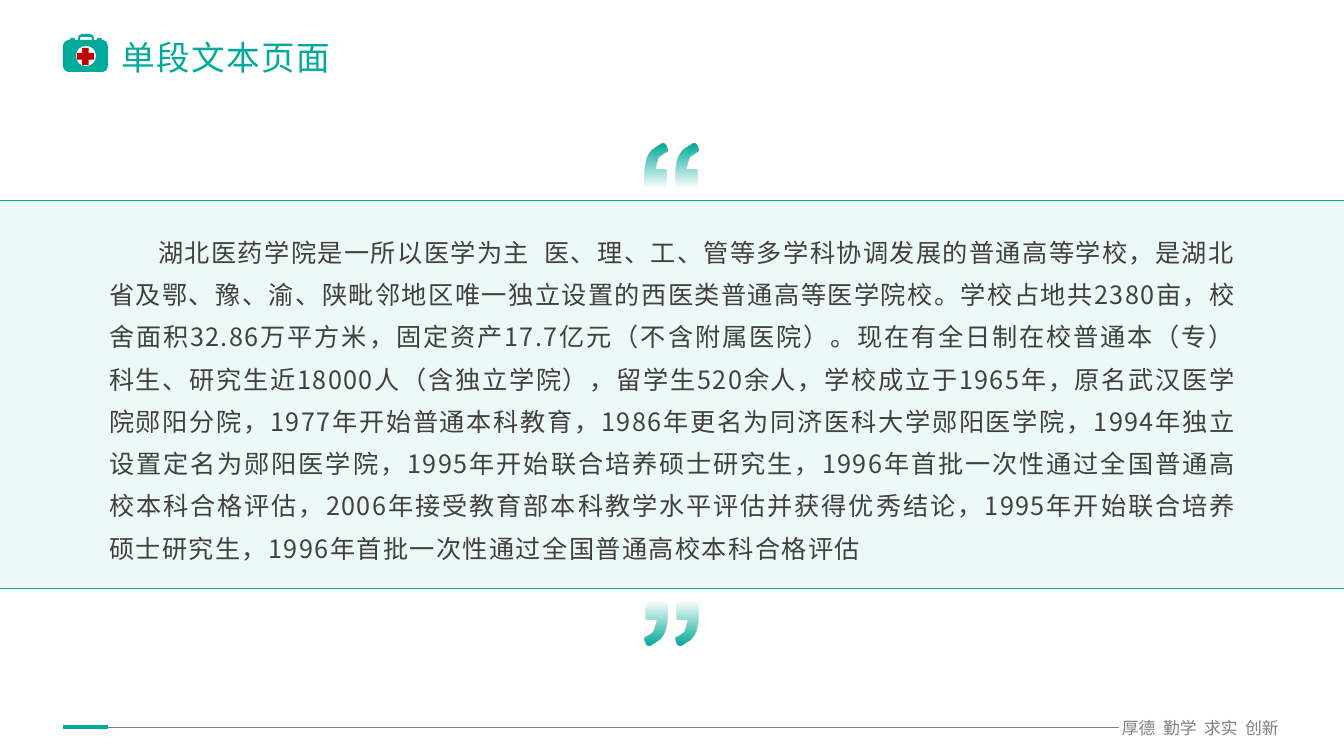
from lxml import etree
from pptx import Presentation, util as u
from pptx.dml.color import RGBColor
from pptx.enum import shapes, text
from pptx.oxml.ns import qn

SLIDE_W, SLIDE_H = 1344, 756
EMU_PER_PX = 12192000 / SLIDE_W

TEAL = RGBColor(0x00, 0xAA, 0x9A)
RED = RGBColor(0xC0, 0x00, 0x00)
DARK = RGBColor(0x40, 0x40, 0x40)
GREY = RGBColor(0x80, 0x80, 0x80)
FONT = "Noto Sans CJK JP"

TITLE = "单段文本页面"
MOTTO = "厚德  勤学  求实  创新"
BODY = (
    "湖北医药学院是一所以医学为主  医、理、工、管等多学科协调发展的普通高等学校，"
    "是湖北省及鄂、豫、渝、陕毗邻地区唯一独立设置的西医类普通高等医学院校。"
    "学校占地共2380亩，校舍面积32.86万平方米，固定资产17.7亿元（不含附属医院）。"
    "现在有全日制在校普通本（专）科生、研究生近18000人（含独立学院），留学生520余人，"
    "学校成立于1965年，原名武汉医学院郧阳分院，1977年开始普通本科教育，"
    "1986年更名为同济医科大学郧阳医学院，1994年独立设置定名为郧阳医学院，"
    "1995年开始联合培养硕士研究生，1996年首批一次性通过全国普通高校本科合格评估，"
    "2006年接受教育部本科教学水平评估并获得优秀结论，"
    "1995年开始联合培养硕士研究生，1996年首批一次性通过全国普通高校本科合格评估"
)

# Outlines in px: a pair is a line end, six numbers are a Bezier curve
CASE_BODY = [
    (19, 0), (27, 0), (29, 0, 31, 2, 31, 4), (31, 6), (34, 6), (34, 5),
    (34, 4, 34, 4, 35, 4), (38, 4), (39, 4, 39, 4, 39, 5), (39, 6), (40, 6),
    (43, 6, 45, 9, 45, 12), (45, 32), (45, 35, 43, 38, 40, 38), (6, 38),
    (3, 38, 0, 35, 0, 32), (0, 12), (0, 9, 3, 6, 6, 6), (7, 6), (7, 5),
    (7, 4, 7, 4, 8, 4), (11, 4), (12, 4, 12, 4, 12, 5), (12, 6), (15, 6),
    (15, 4), (15, 2, 17, 0, 19, 0),
]
CASE_HANDLE = [
    (19, 3), (18, 3, 17, 3, 17, 4), (17, 6), (29, 6), (29, 4),
    (29, 3, 28, 3, 27, 3),
]
CASE_WINDOW = [
    (23, 12), (17, 12, 13, 16, 13, 22), (13, 28, 17, 32, 23, 32),
    (29, 32, 33, 28, 33, 22), (33, 16, 29, 12, 23, 12),
]
QUOTE_MARK = [
    (19, 0), (20, 0, 20, 1, 21, 1), (23, 6), (23, 7, 23, 9, 21, 9),
    (18, 11, 16, 12, 14, 14), (13, 17, 12, 20, 11, 25), (20, 25),
    (21, 25, 22, 26, 22, 27), (22, 44), (22, 45, 21, 47, 20, 47), (3, 47),
    (1, 47, 0, 45, 0, 44), (0, 31), (0, 25, 1, 20, 2, 16),
    (3, 12, 5, 9, 8, 6), (11, 4, 14, 2, 17, 0), (18, 0, 19, 0, 19, 0),
]
QUOTE_STEP = 30


def px(length):
    return u.Emu(round(length * EMU_PER_PX))


def set_alpha(color_element, percent):
    etree.SubElement(color_element, qn("a:alpha"), val=str(percent * 1000))


def place(contour, left, top):
    """Move a contour to left, top; each segment becomes a list of EMU points."""
    return [[(px(left + x), px(top + y)) for x, y in zip(segment[::2], segment[1::2])]
            for segment in contour]


def add_outline(slide, contours):
    ends = [[segment[-1] for segment in contour] for contour in contours]
    builder = slide.shapes.build_freeform(*ends[0][0], scale=1.0)
    for i, points in enumerate(ends):
        if i:
            builder.move_to(*points[0])
        builder.add_line_segments(points[1:], close=True)
    outline = builder.convert_to_shape()

    # Bend the line segments that have control points
    segments = [segment for contour in contours for segment in contour[1:]]
    lines = list(outline._element.iter(qn("a:lnTo")))
    for line, segment in zip(lines, segments):
        if len(segment) == 3:
            curve = etree.Element(qn("a:cubicBezTo"))
            for x, y in segment:
                etree.SubElement(curve, qn("a:pt"), x=str(x - outline.left),
                                 y=str(y - outline.top))
            line.getparent().replace(line, curve)

    outline.shadow.inherit = False
    outline.line.fill.background()
    return outline


def add_block(slide, kind, left, top, width, height, color):
    block = slide.shapes.add_shape(kind, px(left), px(top), px(width), px(height))
    block.shadow.inherit = False
    block.fill.solid()
    block.fill.fore_color.rgb = color
    block.line.fill.background()
    return block


def add_rule(slide, left, right, y, color, points):
    rule = slide.shapes.add_connector(
        shapes.MSO_CONNECTOR.STRAIGHT, px(left), px(y), px(right), px(y))
    rule.line.color.rgb = color
    rule.line.width = u.Pt(points)
    etree.SubElement(rule._element.spPr, qn("a:effectLst"))


def add_text(slide, left, top, width, height, words, size, color,
             margin=0, spacing=0, align=text.PP_ALIGN.LEFT,
             anchor=text.MSO_ANCHOR.TOP):
    frame = slide.shapes.add_textbox(px(left), px(top), px(width), px(height)).text_frame
    frame.word_wrap = True
    frame.margin_left = frame.margin_right = 0
    frame.margin_top = frame.margin_bottom = px(margin)
    frame.vertical_anchor = anchor
    paragraph = frame.paragraphs[0]
    paragraph.text = words
    paragraph.alignment = align
    font = paragraph.font
    font.size = u.Pt(size)
    font.name = FONT
    font.color.rgb = color
    font._rPr.set("spc", str(spacing * 100))
    etree.SubElement(font._rPr, qn("a:ea"), typeface=FONT)
    return paragraph


def add_quote(slide, left, top, rotation=0):
    quote = add_outline(
        slide, [place(QUOTE_MARK, left + i * QUOTE_STEP, top) for i in range(2)])
    quote.rotation = rotation
    quote.fill.gradient()
    quote.fill.gradient_angle = 270
    solid, clear = quote.fill.gradient_stops
    for stop, position in ((solid, 0), (clear, 0.93)):
        stop.color.rgb = TEAL
        stop.position = position
    set_alpha(clear._gs.find(qn("a:srgbClr")), 0)


def add_medical_case(slide, left, top):
    case = add_outline(
        slide, [place(part, left, top) for part in (CASE_BODY, CASE_HANDLE, CASE_WINDOW)])
    case.fill.solid()
    case.fill.fore_color.rgb = TEAL
    cross = add_block(slide, shapes.MSO_SHAPE.CROSS, left + 14, top + 14, 17, 17, RED)
    cross.adjustments[0] = 0.31


def main():
    prs = Presentation()
    prs.slide_width, prs.slide_height = px(SLIDE_W), px(SLIDE_H)
    slide = prs.slides.add_slide(prs.slide_layouts[6])

    # Footer
    add_text(slide, 1118, 718, 165, 20, MOTTO, 12, GREY, align=text.PP_ALIGN.CENTER)
    add_rule(slide, 63, 1119, 727, GREY, 0.5)
    add_rule(slide, 63, 108, 727, TEAL, 3)

    # Tinted band between two rules
    band_top, band_bottom = 201, 589
    band = add_block(slide, shapes.MSO_SHAPE.RECTANGLE, 0, band_top, SLIDE_W,
                     band_bottom - band_top, TEAL)
    set_alpha(band._element.spPr.find(".//" + qn("a:srgbClr")), 7)
    for y in (band_top, band_bottom):
        add_rule(slide, 0, SLIDE_W, y, TEAL, 0.75)

    # Heading
    add_medical_case(slide, 63, 34)
    add_text(slide, 122, 32, 873, 51, TITLE, 24, TEAL, margin=5, spacing=1,
             anchor=text.MSO_ANCHOR.MIDDLE)

    # Paragraph
    body = add_text(slide, 109, 220, 1127, 336, BODY, 18, DARK, margin=5, spacing=1,
                    align=text.PP_ALIGN.JUSTIFY)
    body.line_spacing = u.Pt(30.2)
    body._p.pPr.set("indent", str(px(49)))

    # Quotation marks
    add_quote(slide, 645, 144)
    add_quote(slide, 645, 598, rotation=180)

    prs.save("out.pptx")


if __name__ == "__main__":
    main()
